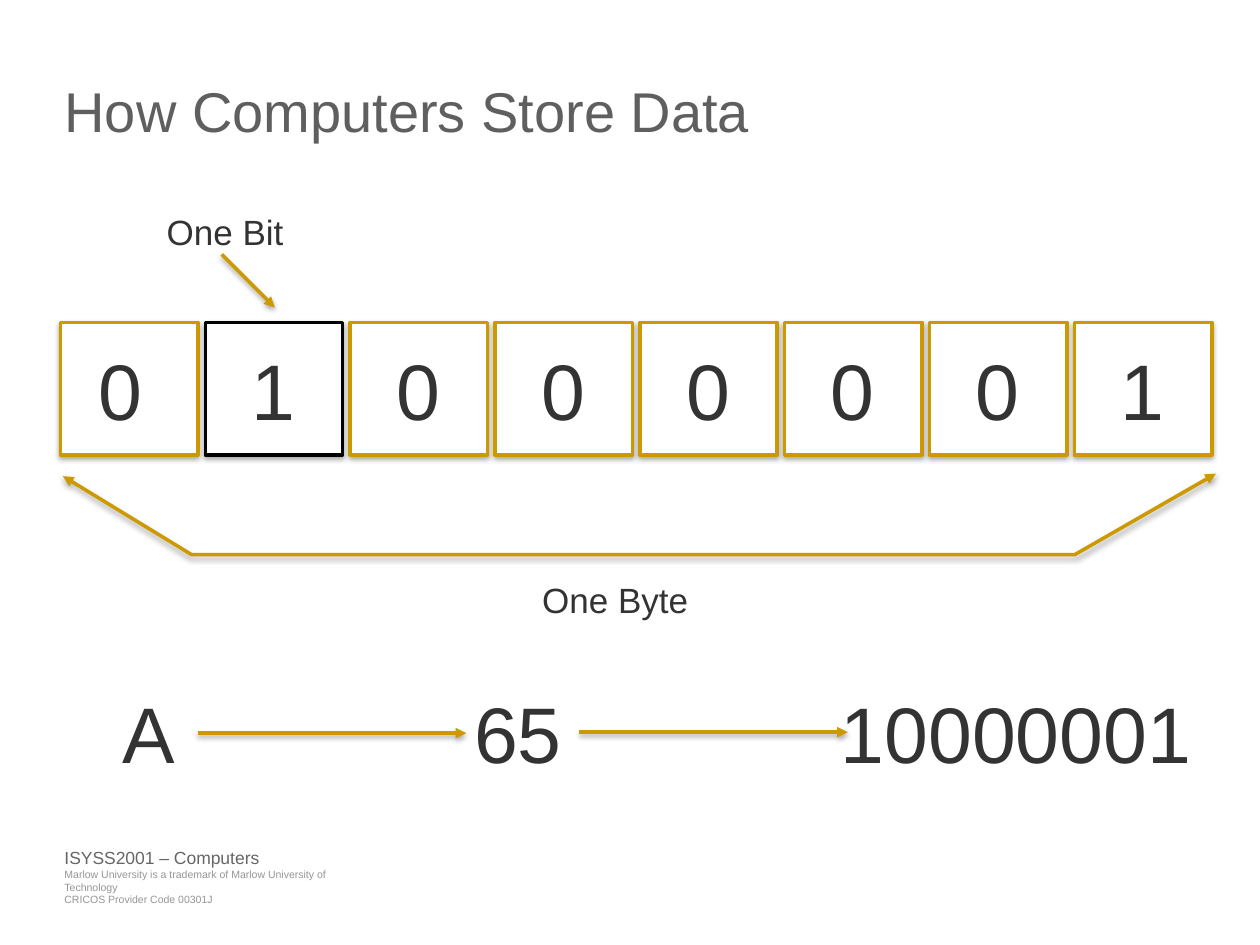
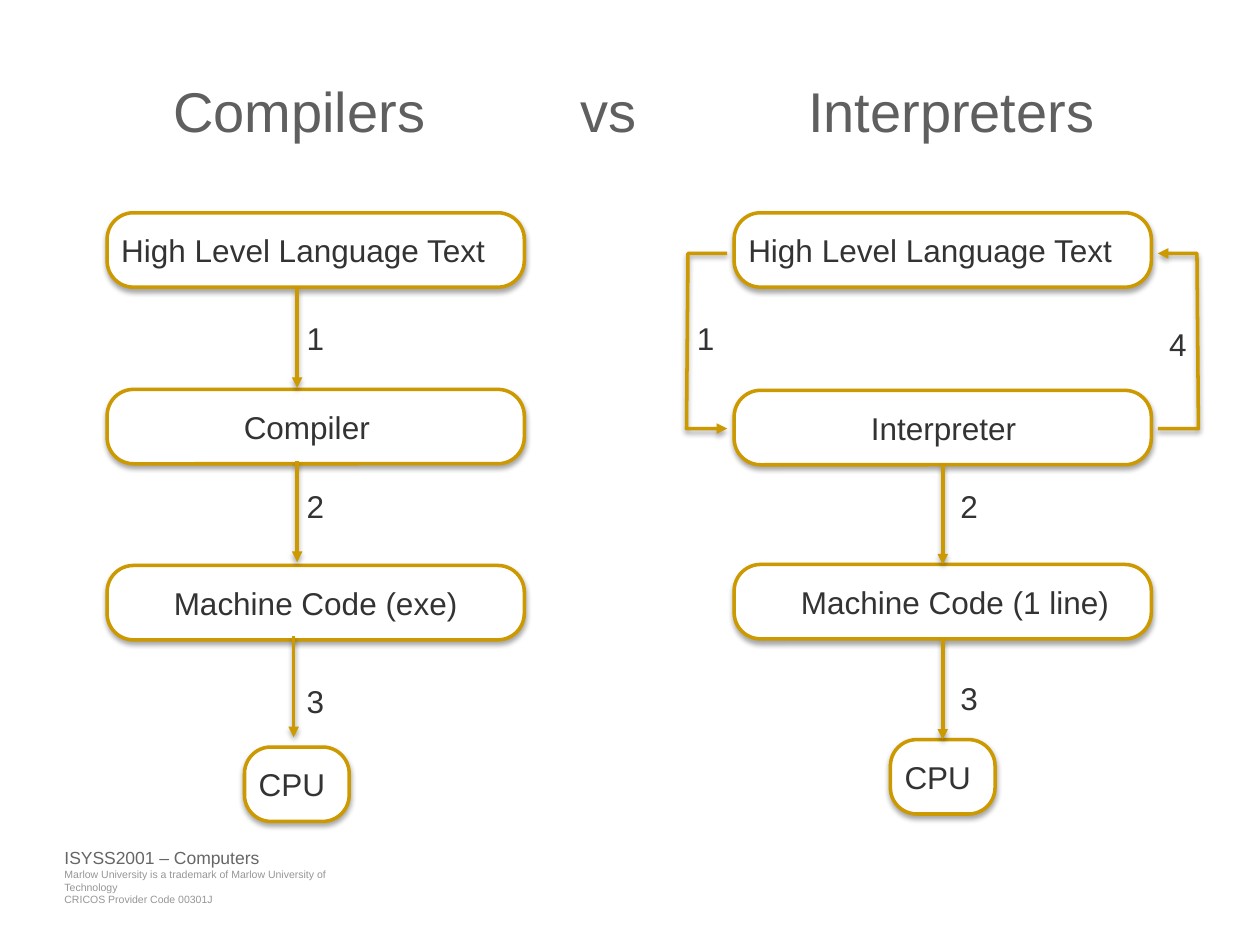
from dataclasses import dataclass

from lxml import etree
from pptx import Presentation
from pptx.dml.color import RGBColor
from pptx.enum.shapes import MSO_CONNECTOR, MSO_SHAPE
from pptx.enum.text import MSO_ANCHOR, MSO_AUTO_SIZE, PP_ALIGN
from pptx.oxml import parse_xml
from pptx.oxml.ns import nsdecls, qn
from pptx.util import Cm, Pt

FONT = "Arial"
GOLD = RGBColor(0xCC, 0x99, 0x00)
BLACK = RGBColor(0x00, 0x00, 0x00)
WHITE = RGBColor(0xFF, 0xFF, 0xFF)
INK = RGBColor(0x33, 0x33, 0x33)
TITLE_GREY = RGBColor(0x5F, 0x5F, 0x5F)
COURSE_GREY = RGBColor(0x66, 0x66, 0x66)
NOTICE_GREY = RGBColor(0x96, 0x96, 0x96)

LINE_WIDTH = Pt(2)
INSET = 0.13
SHADOW = (
    f'<a:effectLst {nsdecls("a")}>'
    '<a:outerShdw blurRad="38100" dist="22860" dir="5400000" rotWithShape="0">'
    '<a:srgbClr val="000000"><a:alpha val="35000"/></a:srgbClr>'
    "</a:outerShdw></a:effectLst>"
)

BIT_WIDTH, BIT_HEIGHT, BIT_PITCH = 2.77, 2.67, 2.92
STAGE_WIDTH, STAGE_HEIGHT, CPU_WIDTH = 8.41, 1.5, 2.11


@dataclass
class Label:
    text: str
    left: float
    top: float
    width: float = 0.63
    height: float = 1.04
    size: float = 18
    color: RGBColor = INK
    inset: float = INSET
    wrap: bool = False
    tabs: tuple = ()


@dataclass
class Stage:
    text: str
    left: float
    top: float
    width: float = STAGE_WIDTH
    indent: float = 0


@dataclass
class Arrow:
    x1: float
    y1: float
    x2: float
    y2: float


@dataclass
class Bracket:
    points: tuple
    head: bool = False
    tail: bool = False


FOOTER = (
    Label("Marlow University is a trademark of Marlow University of Technology\n"
          "CRICOS Provider Code 00301J",
          1.3, 17.5, 6.2, 0.41, 6, NOTICE_GREY, 0),
    Label("ISYSS2001 – Computers", 1.3, 17.07, 3.96, 0.43, 10, COURSE_GREY, 0),
)


def style_text(frame, size, color, inset, tabs=()) -> None:
    frame.margin_left = frame.margin_right = Cm(inset)
    frame.margin_top = frame.margin_bottom = Cm(inset)
    for para in frame.paragraphs:
        para.alignment = PP_ALIGN.LEFT
        para.font.name = FONT
        para.font.size = Pt(size)
        para.font.color.rgb = color
        if tabs:
            tab_list = etree.SubElement(para._p.get_or_add_pPr(), qn("a:tabLst"))
            # Tab stops precede the default run properties in the schema.
            tab_list.getparent().insert(0, tab_list)
            for stop in tabs:
                etree.SubElement(tab_list, qn("a:tab"), pos=str(Cm(stop)), algn="l")


def style_outline(shape, color=GOLD, head=False, tail=False) -> None:
    """Give a shape or connector its line, arrowheads and soft shadow."""
    shape.line.color.rgb = color
    shape.line.width = LINE_WIDTH
    properties = shape._element.spPr
    outline = properties.find(qn("a:ln"))
    for wanted, end in ((head, "a:headEnd"), (tail, "a:tailEnd")):
        if wanted:
            etree.SubElement(outline, qn(end), type="triangle")
    properties.append(parse_xml(SHADOW))


def add_label(page, label: Label):
    box = page.shapes.add_textbox(
        Cm(label.left), Cm(label.top), Cm(label.width), Cm(label.height))
    frame = box.text_frame
    frame.word_wrap = label.wrap
    frame.auto_size = MSO_AUTO_SIZE.SHAPE_TO_FIT_TEXT
    frame.text = label.text
    style_text(frame, label.size, label.color, label.inset, label.tabs)
    return box


def add_box(page, kind, left, top, width, height, color=GOLD):
    box = page.shapes.add_shape(kind, Cm(left), Cm(top), Cm(width), Cm(height))
    box.fill.solid()
    box.fill.fore_color.rgb = WHITE
    style_outline(box, color)
    return box


def add_stage(page, stage: Stage):
    box = add_box(page, MSO_SHAPE.ROUNDED_RECTANGLE,
                  stage.left, stage.top, stage.width, STAGE_HEIGHT)
    box.adjustments[0] = 0.355
    frame = box.text_frame
    frame.text = stage.text
    frame.word_wrap = True
    frame.vertical_anchor = MSO_ANCHOR.MIDDLE
    style_text(frame, 18, INK, INSET)
    frame.margin_left = Cm(INSET + stage.indent)
    return box


def add_arrow(page, arrow: Arrow):
    line = page.shapes.add_connector(
        MSO_CONNECTOR.STRAIGHT,
        Cm(arrow.x1), Cm(arrow.y1), Cm(arrow.x2), Cm(arrow.y2))
    style_outline(line, tail=True)
    return line


def join_stages(page, upper, lower) -> None:
    line = add_arrow(page, Arrow(0, 0, 1, 1))
    line.begin_connect(upper, 2)
    line.end_connect(lower, 0)


def add_bracket(page, bracket: Bracket) -> None:
    start, *rest = [(Cm(x), Cm(y)) for x, y in bracket.points]
    builder = page.shapes.build_freeform(*start)
    builder.add_line_segments(rest, close=False)
    shape = builder.convert_to_shape()
    shape.fill.background()
    style_outline(shape, head=bracket.head, tail=bracket.tail)


def add_page(deck, title: str, tabs=()):
    """Add a title-only slide with the shared title style and footer."""
    page = deck.slides.add_slide(deck.slide_layouts[5])
    for label in FOOTER:
        add_label(page, label)
    heading = page.shapes.title
    heading.left, heading.top = Cm(1.3), Cm(1.55)
    heading.width, heading.height = Cm(22.81), Cm(2.77)
    frame = heading.text_frame
    frame.text = title
    frame.word_wrap = True
    frame.auto_size = MSO_AUTO_SIZE.NONE
    frame.vertical_anchor = MSO_ANCHOR.TOP
    style_text(frame, 32, TITLE_GREY, 0, tabs)
    return page


def build_storage_page(deck) -> None:
    page = add_page(deck, "How Computers Store Data")
    bits = "01000001"
    lefts = [1.22 + BIT_PITCH * index for index in range(len(bits))]
    for index, left in enumerate(lefts):
        add_box(page, MSO_SHAPE.RECTANGLE, left, 6.5, BIT_WIDTH, BIT_HEIGHT,
                BLACK if index == 1 else GOLD)

    add_label(page, Label("One Bit", 3.23, 4.11, 2.64, 1.09, 20))
    add_label(page, Label("One Byte", 10.8, 11.53, 3.23, 1.09, 20))
    add_bracket(page, Bracket(
        ((1.27, 9.6), (3.86, 11.18), (21.67, 11.18), (24.51, 9.55)),
        head=True, tail=True))

    for index, (bit, left) in enumerate(zip(bits, lefts)):
        offset = 0.8 if index else 0.64
        add_label(page, Label(bit, left + offset, 6.76, 1.17, 2.16, 45))

    add_label(page, Label("A\t65\t10000001", 2.34, 13.67, 22, 2.16, 45,
                          wrap=True, tabs=(7.09, 14.48)))
    for arrow in (Arrow(4.47, 5.13, 5.54, 6.2),
                  Arrow(3.99, 14.78, 9.4, 14.78),
                  Arrow(11.68, 14.76, 17.09, 14.76)):
        add_arrow(page, arrow)


def build_translation_page(deck) -> None:
    page = add_page(deck, "\tCompilers\tvs\tInterpreters", (2.19, 10.41, 14.99))
    compiler_left, interpreter_left = 2.16, 14.8

    for stage in (
        Stage("High Level Language Text", compiler_left, 4.29),
        Stage("Compiler", compiler_left, 7.85, indent=2.47),
        Stage("Machine Code (exe)", compiler_left, 11.4, indent=1.06),
        Stage("CPU", 4.93, 15.06, CPU_WIDTH),
        Stage("High Level Language Text", interpreter_left, 4.29),
    ):
        add_stage(page, stage)
    for arrow in (Arrow(5.99, 5.82, 5.99, 7.82),
                  Arrow(5.99, 9.3, 5.99, 11.33),
                  Arrow(5.92, 12.83, 5.92, 14.86)):
        add_arrow(page, arrow)

    interpreter, machine_code, processor = [add_stage(page, stage) for stage in (
        Stage("Interpreter", interpreter_left, 7.87, indent=2.47),
        Stage("Machine Code (1 line)", interpreter_left, 11.38, indent=1.06),
        Stage("CPU", 17.95, 14.91, CPU_WIDTH),
    )]
    join_stages(page, interpreter, machine_code)
    join_stages(page, machine_code, processor)

    for bracket in (
        Bracket(((14.66, 5.11), (13.87, 5.11), (13.84, 8.64), (14.66, 8.64)),
                tail=True),
        Bracket(((23.34, 5.11), (24.13, 5.11), (24.16, 8.64), (23.34, 8.64)),
                head=True),
    ):
        add_bracket(page, bracket)

    for step in (
        Label("1", 6.05, 6.3), Label("2", 6.05, 9.68), Label("3", 6.05, 13.61),
        Label("1", 13.92, 6.3), Label("2", 19.23, 9.68),
        Label("3", 19.23, 13.56), Label("4", 23.44, 6.43),
    ):
        add_label(page, step)


def main() -> None:
    deck = Presentation()
    deck.slide_width, deck.slide_height = Cm(25.4), Cm(19.05)
    build_storage_page(deck)
    build_translation_page(deck)
    deck.save("out.pptx")


if __name__ == "__main__":
    main()
